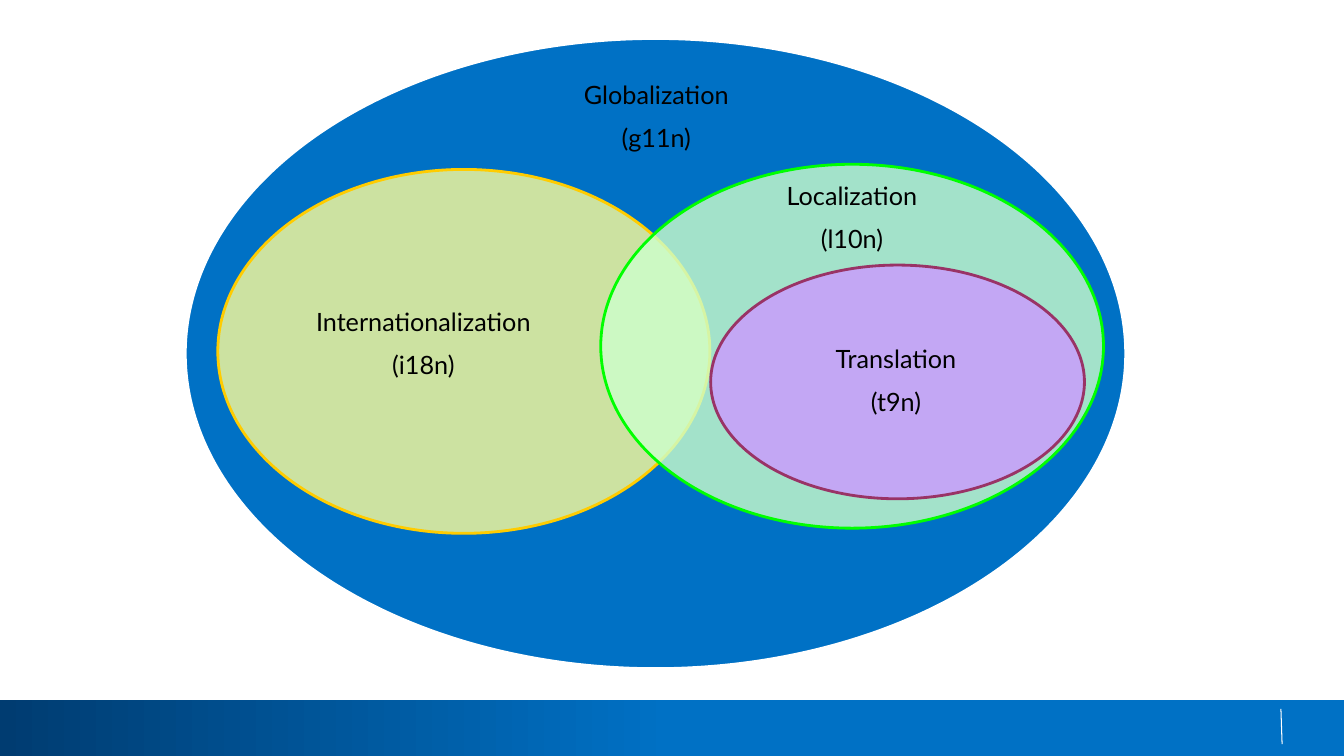
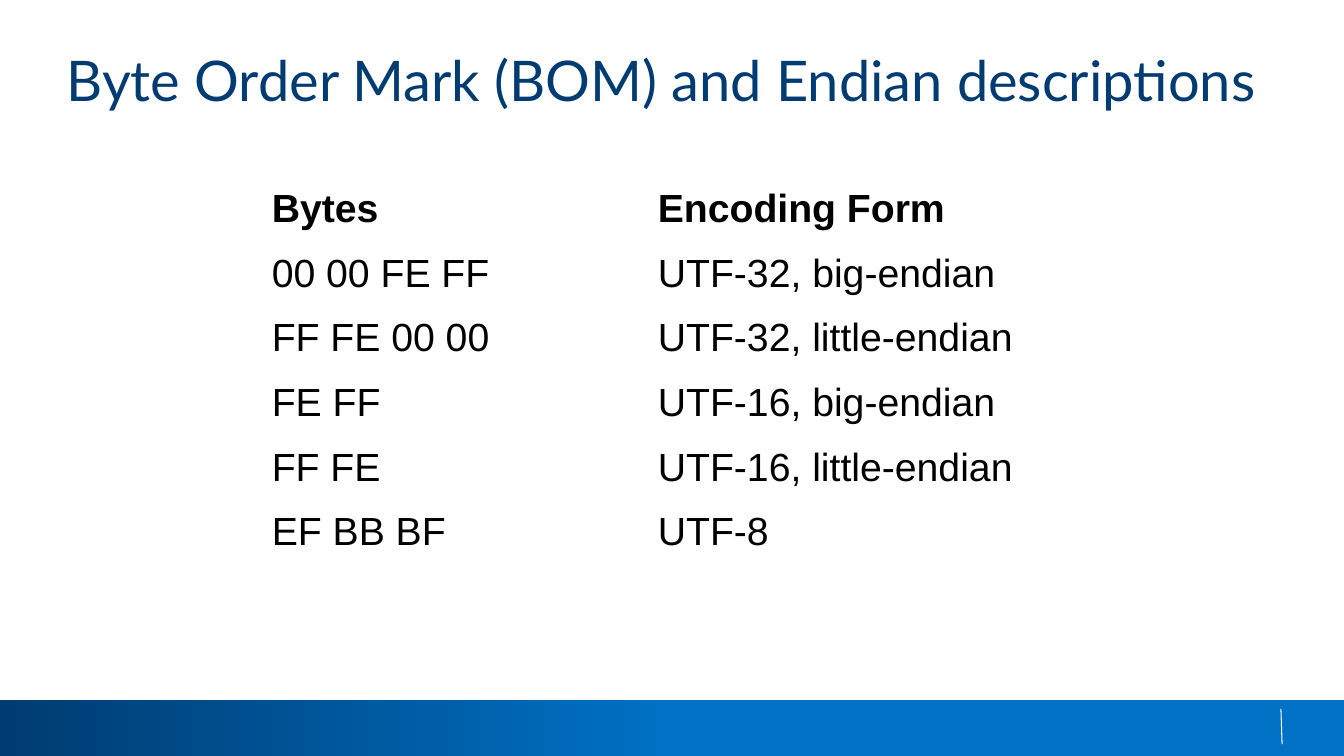
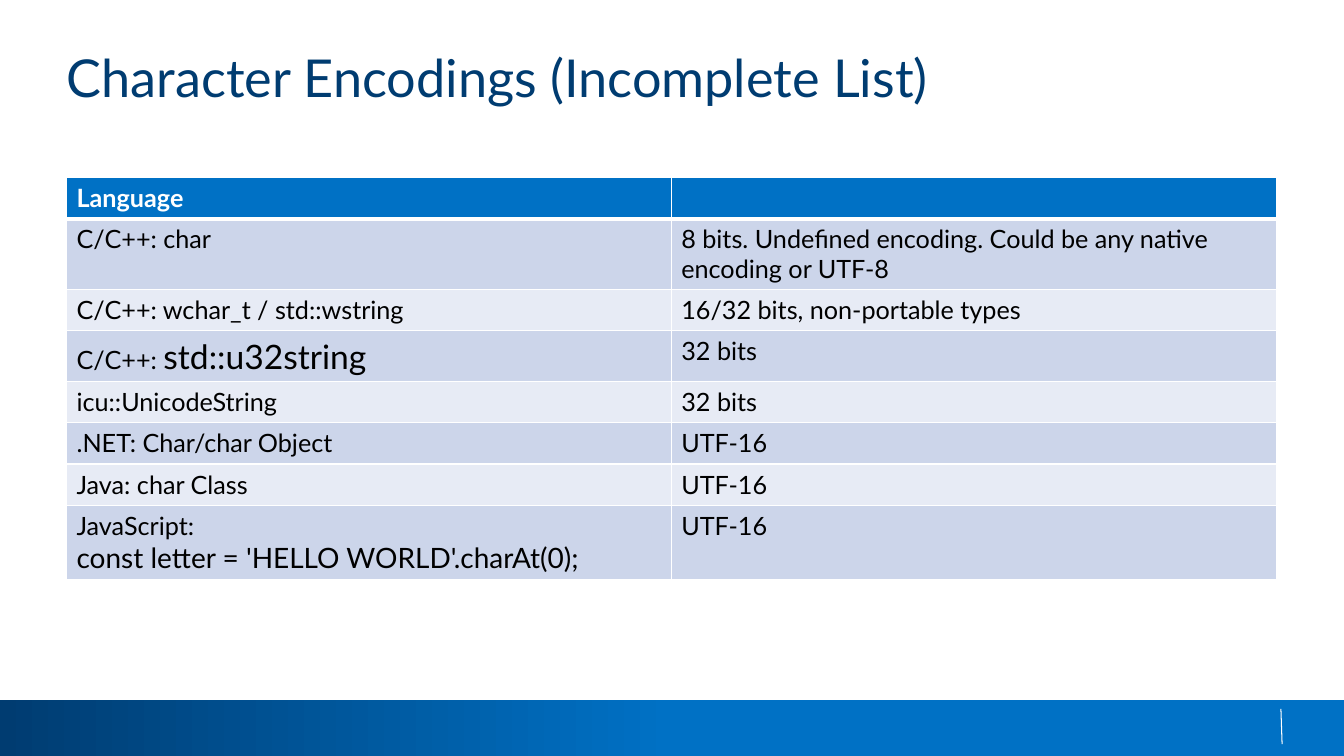
"""Build three slides on globalization terms, byte order marks and character encodings."""
from dataclasses import dataclass

from lxml.etree import SubElement
from pptx import Presentation
from pptx.dml.color import RGBColor
from pptx.enum.shapes import MSO_CONNECTOR as Connector, MSO_SHAPE as Preset
from pptx.enum.text import MSO_ANCHOR as Anchor, MSO_AUTO_SIZE as AutoSize, PP_ALIGN as Align
from pptx.oxml.ns import qn
from pptx.util import Cm, Pt

NAVY, BLUE, WHITE, BLACK = "003C71", "0071C5", "FFFFFF", "000000"
STRIPES = ("CCD5EA", "E7EBF5")
SLIDE_WIDTH, SLIDE_HEIGHT = 33.87, 19.05
BAND_HEIGHT = 1.41
LABEL_WIDTH, LABEL_HEIGHT = 7.32, 2.16
TITLE_BOX = {"left": Cm(1.68), "top": Cm(1.14), "width": Cm(30.48), "height": Cm(3.23)}
TITLE_FRAME = {"margin_left": 0, "margin_top": 0, "margin_right": 0, "margin_bottom": 0,
               "word_wrap": True, "auto_size": AutoSize.NONE, "vertical_anchor": Anchor.TOP}


@dataclass(frozen=True)
class Span:
    """A piece of text with its own size."""
    text: str
    size: float


@dataclass(frozen=True)
class Concept:
    """An ellipse of the diagram and the place of its label."""
    term: str
    short: str
    left: float
    top: float
    width: float
    height: float
    fill: str
    outline: str
    label_left: float
    label_top: float
    opacity: int = 80


@dataclass(frozen=True)
class Grid:
    """Place, measures and text style of a table."""
    left: float
    top: float
    column_width: float
    row_height: float
    font: str
    size: float
    banded: bool
    hanging: float = 0
    margin: float = 0.25
    margin_vertical: float = 0.13


CONCEPTS = (
    Concept("Globalization", "(g11n)", 4.67, 0.97, 23.7, 15.88, BLUE, WHITE, 12.88, 1.88, 100),
    Concept("Internationalization", "(i18n)", 5.49, 4.27, 12.4, 9.17, "FFFF99", "FFCC00", 7.01, 7.59),
    Concept("Localization", "(l10n)", 15.14, 4.14, 12.67, 9.17, "CCFFCC", "00FF00", 17.81, 4.42),
    Concept("Translation", "(t9n)", 17.91, 6.68, 9.42, 5.89, "CC99FF", "993366", 18.92, 8.53),
)
BOM_GRID = Grid(6.6, 4.45, 9.73, 1.63, "Arial", 28, False, 0.79, 0.25, 0.25)
BOM_ROWS = (
    ("Bytes", "Encoding Form"),
    ("00 00 FE FF", "UTF-32, big-endian"),
    ("FF FE 00 00", "UTF-32, little-endian"),
    ("FE FF", "UTF-16, big-endian"),
    ("FF FE", "UTF-16, little-endian"),
    ("EF BB BF", "UTF-8"),
)
ENCODING_GRID = Grid(1.68, 4.47, 15.24, 1.04, "Lato", 18, True)
ENCODING_ROWS = (
    ("Language", ""),
    ("C/C++: char", "8 bits. Undefined encoding. Could be any native encoding or UTF-8"),
    ("C/C++: wchar_t / std::wstring", "16/32 bits, non-portable types"),
    (((Span("C/C++: ", 18), Span("std::u32string", 24)),), "32 bits"),
    ("icu::UnicodeString", "32 bits"),
    (".NET: Char/char Object", "UTF-16"),
    ("Java: char Class", "UTF-16"),
    (((Span("JavaScript:", 18),), (Span("const letter = 'HELLO WORLD'.charAt(0);", 20),)), "UTF-16"),
)


def rgb(code: str) -> RGBColor:
    """Turn a hex string into a colour."""
    return RGBColor.from_string(code)


def assign(target, values: dict) -> None:
    """Set every attribute listed in a dict of format values."""
    for attribute, value in values.items():
        setattr(target, attribute, value)


def add_span(paragraph, span: Span, font: str, color: str, bold: bool = False) -> None:
    """Append one formatted run."""
    run = paragraph.add_run()
    run.text = span.text
    assign(run.font, {"name": font, "size": Pt(span.size), "bold": bold})
    run.font.color.rgb = rgb(color)


def add_band(slide) -> None:
    """Draw the gradient band and its thin divider at the foot of a slide."""
    band = slide.shapes.add_shape(Preset.RECTANGLE, 0, Cm(SLIDE_HEIGHT - BAND_HEIGHT),
                                  Cm(SLIDE_WIDTH), Cm(BAND_HEIGHT))
    band.shadow.inherit = False
    band.line.fill.background()
    band.fill.gradient()
    band.fill.gradient_angle = 0
    for stop, color, position in zip(band.fill.gradient_stops, (NAVY, BLUE), (0, 0.5)):
        stop.color.rgb = rgb(color)
        stop.position = position
    divider = slide.shapes.add_connector(Connector.STRAIGHT, Cm(32.28), Cm(17.86), Cm(32.31), Cm(18.75))
    divider.line.color.rgb = rgb(WHITE)
    divider.line.width = Pt(0.75)
    SubElement(divider._element.spPr, qn("a:effectLst"))


def add_slide(deck, title: str = "", title_size: float = 40):
    """Add a slide with the shared band and, if given, a title."""
    slide = deck.slides.add_slide(deck.slide_layouts[5 if title else 6])
    add_band(slide)
    if title:
        heading = slide.shapes.title
        assign(heading, TITLE_BOX)
        assign(heading.text_frame, TITLE_FRAME)
        paragraph = heading.text_frame.paragraphs[0]
        paragraph.alignment = Align.LEFT
        add_span(paragraph, Span(title, title_size), "Lato", NAVY)
    return slide


def add_ellipse(slide, concept: Concept) -> None:
    """Draw the ellipse of a concept."""
    ellipse = slide.shapes.add_shape(Preset.OVAL, Cm(concept.left), Cm(concept.top),
                                     Cm(concept.width), Cm(concept.height))
    ellipse.shadow.inherit = False
    ellipse.fill.solid()
    ellipse.fill.fore_color.rgb = rgb(concept.fill)
    ellipse.line.color.rgb = rgb(concept.outline)
    ellipse.line.width = Pt(2)
    if concept.opacity < 100:
        tint = ellipse._element.spPr.find(qn("a:solidFill")).find(qn("a:srgbClr"))
        SubElement(tint, qn("a:alpha"), val=str(concept.opacity * 1000))


def add_label(slide, concept: Concept) -> None:
    """Write the term of a concept above its short form."""
    label = slide.shapes.add_textbox(Cm(concept.label_left), Cm(concept.label_top),
                                     Cm(LABEL_WIDTH), Cm(LABEL_HEIGHT))
    frame = label.text_frame
    assign(frame, {"word_wrap": True, "auto_size": AutoSize.SHAPE_TO_FIT_TEXT})
    term, short = frame.paragraphs[0], frame.add_paragraph()
    short.space_before = Pt(9)
    for paragraph, text in ((term, concept.term), (short, concept.short)):
        paragraph.alignment = Align.CENTER
        add_span(paragraph, Span(text, 18), "Lato", BLACK)


def add_borders(cell, bottom: float) -> None:
    """Give a cell white borders with a chosen width below."""
    properties = cell._tc.get_or_add_tcPr()
    for side, width in (("L", 1), ("R", 1), ("T", 1), ("B", bottom)):
        border = SubElement(properties, qn(f"a:ln{side}"), w=str(Pt(width)))
        SubElement(SubElement(border, qn("a:solidFill")), qn("a:srgbClr"), val=WHITE)


def fill_cell(cell, content, row: int, grid: Grid) -> None:
    """Format one cell and write its paragraphs."""
    heading = row == 0
    add_borders(cell, 3 if heading and grid.banded else 1)
    if grid.banded:
        cell.fill.solid()
        cell.fill.fore_color.rgb = rgb(BLUE if heading else STRIPES[(row - 1) % 2])
    else:
        cell.fill.background()
    assign(cell, {"margin_left": Cm(grid.margin), "margin_right": Cm(grid.margin),
                  "margin_top": Cm(grid.margin_vertical), "margin_bottom": Cm(grid.margin_vertical),
                  "vertical_anchor": Anchor.TOP if grid.banded else Anchor.MIDDLE})
    if not content:
        return
    lines = ((Span(content, grid.size),),) if isinstance(content, str) else content
    color = WHITE if heading and grid.banded else BLACK
    for number, spans in enumerate(lines):
        frame = cell.text_frame
        paragraph = frame.add_paragraph() if number else frame.paragraphs[0]
        if grid.hanging:
            indents = paragraph._p.get_or_add_pPr()
            indents.set("marL", str(Cm(grid.hanging)))
            indents.set("indent", str(-Cm(grid.hanging)))
        for span in spans:
            add_span(paragraph, span, grid.font, color, heading)


def add_grid(slide, grid: Grid, rows: tuple) -> None:
    """Add a table with equal columns and rows."""
    columns = len(rows[0])
    table = slide.shapes.add_table(len(rows), columns, Cm(grid.left), Cm(grid.top),
                                   Cm(grid.column_width * columns),
                                   Cm(grid.row_height * len(rows))).table
    table.horz_banding = grid.banded
    for column in table.columns:
        column.width = Cm(grid.column_width)
    for row, contents in enumerate(rows):
        table.rows[row].height = Cm(grid.row_height)
        for column, content in enumerate(contents):
            fill_cell(table.cell(row, column), content, row, grid)


def main() -> None:
    """Build and save the deck."""
    deck = Presentation()
    assign(deck, {"slide_width": Cm(SLIDE_WIDTH), "slide_height": Cm(SLIDE_HEIGHT)})
    diagram = add_slide(deck)
    for draw in (add_ellipse, add_label):
        for concept in CONCEPTS:
            draw(diagram, concept)
    add_grid(add_slide(deck, "Byte Order Mark (BOM) and Endian descriptions"), BOM_GRID, BOM_ROWS)
    add_grid(add_slide(deck, "Character Encodings (Incomplete List)", 37.3), ENCODING_GRID, ENCODING_ROWS)
    deck.save("out.pptx")


if __name__ == "__main__":
    main()
